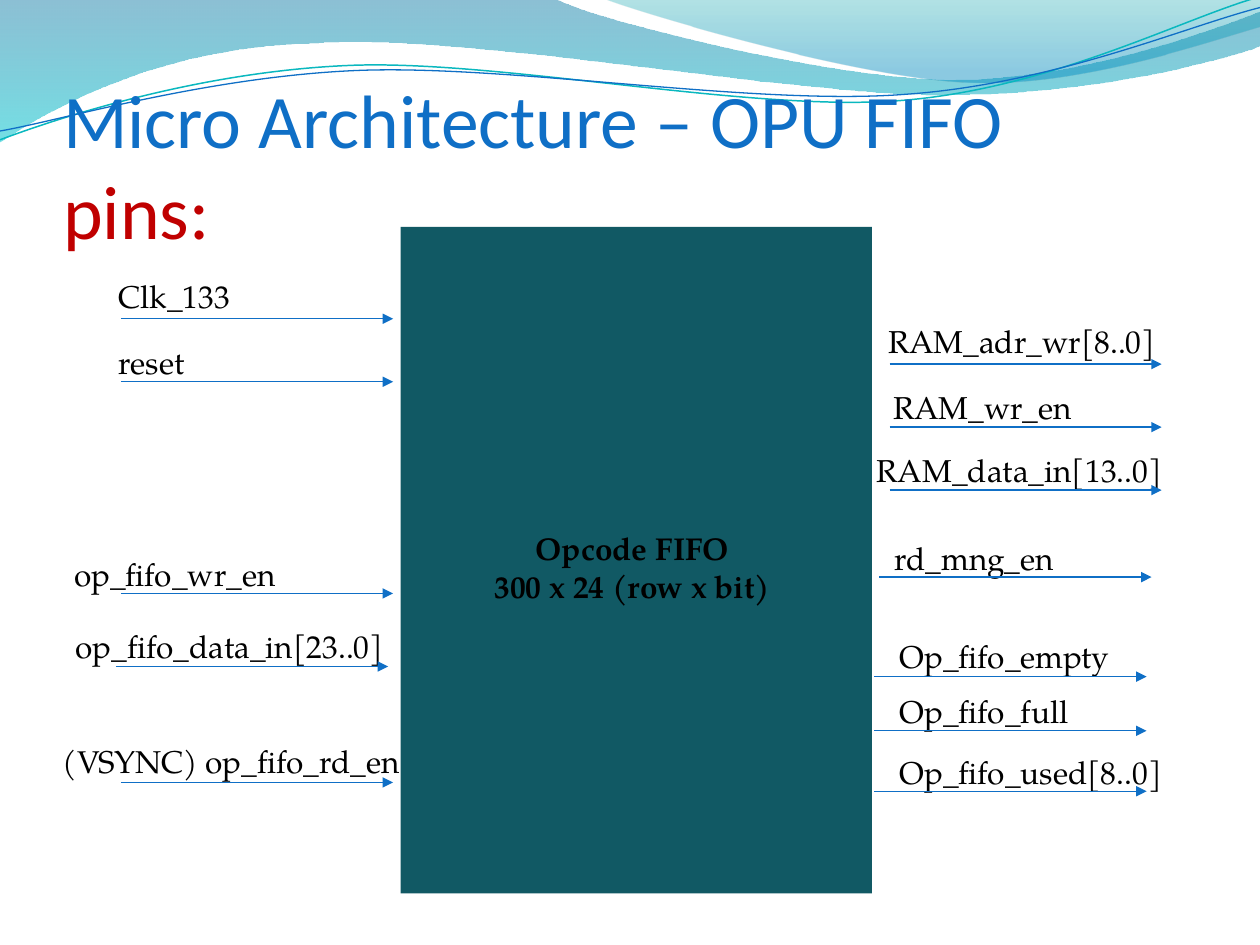
import pptx
import pptx.dml.color
import pptx.enum.shapes
import pptx.enum.text
import pptx.oxml
import pptx.oxml.ns
import pptx.util

Inches = pptx.util.Inches
RGBColor = pptx.dml.color.RGBColor
Align = pptx.enum.text.PP_ALIGN

BLUE = RGBColor(0x0F, 0x6F, 0xC6)
TURQUOISE = RGBColor(0x0A, 0xB8, 0xBF)
RED = RGBColor(0xC0, 0x00, 0x00)
BLACK = RGBColor(0, 0, 0)
BLOCK_TEAL = RGBColor(0x11, 0x59, 0x64)

ARROW_LENGTH = 2.16
UNITS_PER_INCH = 100

# Wave outlines: a pair is a straight segment, six numbers a Bezier curve.
LARGE_WAVE = [
    (0, 0), (4.4, -0.01), (4.76, 0.17, 6.64, 0.63, 7.58, 0.63),
    (8.53, 0.63, 9.58, 0.26, 10, 0.09), (10.01, 0.36),
    (9.83, 0.44, 8.7, 0.76, 7.46, 0.75), (6.22, 0.75, 3.82, 0.28, 2.57, 0.34),
    (1.29, 0.36, 0.46, 0.83, -0.01, 1.13), (0, 0),
]
SMALL_WAVE = [
    (4.79, -0.01), (5.09, 0.11, 6.82, 0.62, 7.69, 0.65),
    (8.56, 0.69, 9.61, 0.32, 10, 0.21), (10, 0), (4.79, -0.01),
]
TURQUOISE_CURVE = [
    (0, 1.11), (0.48, 0.93, 1.58, 0.57, 2.77, 0.52),
    (3.95, 0.47, 5.93, 0.89, 7.13, 0.8), (8.33, 0.71, 9.38, 0.15, 9.98, -0.02),
]
BLUE_CURVE = [
    (0, 1.04), (0.47, 0.96, 1.64, 0.61, 2.83, 0.56),
    (4.03, 0.51, 5.97, 0.84, 7.17, 0.75), (8.36, 0.67, 9.41, 0.21, 10, 0.06),
]
# Gradient stops: position, colour, opacity in percent.
LARGE_WAVE_STOPS = [(0, RGBColor(0x00, 0x74, 0xA1), 45),
                    (1, RGBColor(0x00, 0xC6, 0xCF), 55)]
SMALL_WAVE_STOPS = [(0, RGBColor(0x00, 0xA1, 0xA9), 30),
                    (0.8, RGBColor(0x00, 0x8B, 0xBF), 45)]

# Pins: name, label left, label top, label width, arrow left, arrow height.
PINS = [
    ("Clk_133", 0.84, 2.15, 2.18, 0.96, 2.53),
    ("reset", 0.84, 2.67, 2.18, 0.96, 3.03),
    ("op_fifo_wr_en", 0.49, 4.36, 2.53, 0.96, 4.71),
    ("op_fifo_data_in[23..0]", 0.5, 4.93, 3.22, 0.92, 5.29),
    ("(VSYNC) op_fifo_rd_en", 0.4, 5.84, 3.69, 0.96, 6.21),
    ("RAM_adr_wr[8..0]", 6.95, 2.51, 2.39, 7.06, 2.89),
    ("RAM_wr_en", 6.99, 3.03, 2.18, 7.06, 3.39),
    ("RAM_data_in[13..0]", 6.83, 3.53, 2.49, 7.06, 3.89),
    ("rd_mng_en", 7, 4.23, 2.18, 6.98, 4.58),
    ("Op_fifo_empty", 7.04, 5.01, 2.18, 6.94, 5.37),
    ("Op_fifo_full", 7.04, 5.44, 2.18, 6.94, 5.8),
    ("Op_fifo_used[8..0]", 7.04, 5.93, 2.37, 6.94, 6.28),
]


def add_run(paragraph, text, font="TeX Gyre Pagella", size=18, color=BLACK, bold=False):
    run = paragraph.add_run()
    run.text = text
    run.font.name = font
    run.font.size = pptx.util.Pt(size)
    run.font.color.rgb = color
    run.font.bold = bold


def add_text(slide, lines, left, top, width, height, align=Align.LEFT, **style):
    frame = slide.shapes.add_textbox(
        Inches(left), Inches(top), Inches(width), Inches(height)).text_frame
    frame.word_wrap = True
    for index, line in enumerate(lines):
        paragraph = frame.add_paragraph() if index else frame.paragraphs[0]
        paragraph.alignment = align
        add_run(paragraph, line, **style)


def add_outline(slide, outline, close):
    """Build a freeform through all points, then turn each curve's three lines into one Bezier."""
    points = [
        (segment[index] * UNITS_PER_INCH, segment[index + 1] * UNITS_PER_INCH)
        for segment in outline for index in range(0, len(segment), 2)]
    builder = slide.shapes.build_freeform(*points[0], scale=Inches(1) / UNITS_PER_INCH)
    builder.add_line_segments(points[1:], close=close)
    shape = builder.convert_to_shape()
    shape.shadow.inherit = False

    lines = iter(list(shape._element.spPr.iter(pptx.oxml.ns.qn("a:lnTo"))))
    for segment in outline[1:]:
        line = next(lines)
        if len(segment) == 6:
            line.tag = pptx.oxml.ns.qn("a:cubicBezTo")
            for _ in range(2):
                control_line = next(lines)
                line.append(control_line[0])
                control_line.getparent().remove(control_line)
    return shape


def add_wave(slide, outline, stops):
    shape = add_outline(slide, outline, close=True)
    shape.line.fill.background()
    shape.fill.gradient()
    shape.fill.gradient_angle = 270
    for stop, (position, color, _) in zip(shape.fill.gradient_stops, stops):
        stop.position = position
        stop.color.rgb = color
    colors = shape._element.spPr.iter(pptx.oxml.ns.qn("a:srgbClr"))
    for element, (_, _, opacity) in zip(colors, stops):
        element.append(pptx.oxml.parse_xml(
            f'<a:alpha {pptx.oxml.ns.nsdecls("a")} val="{opacity * 1000}"/>'))


def add_curve(slide, outline, color, width):
    shape = add_outline(slide, outline, close=False)
    shape.fill.background()
    shape.line.color.rgb = color
    shape.line.width = pptx.util.Pt(width)


def add_arrow(slide, left, y):
    arrow = slide.shapes.add_connector(
        pptx.enum.shapes.MSO_CONNECTOR.STRAIGHT,
        Inches(left), Inches(y), Inches(left + ARROW_LENGTH), Inches(y))
    arrow.line.color.rgb = BLUE
    arrow.line.width = pptx.util.Pt(0.75)
    namespace = pptx.oxml.ns.nsdecls("a")
    arrow.line._get_or_add_ln().append(
        pptx.oxml.parse_xml(f'<a:tailEnd {namespace} type="triangle"/>'))
    arrow._element.spPr.append(pptx.oxml.parse_xml(f"<a:effectLst {namespace}/>"))


def add_block(slide, left, top, width, height):
    block = slide.shapes.add_shape(
        pptx.enum.shapes.MSO_SHAPE.RECTANGLE,
        Inches(left), Inches(top), Inches(width), Inches(height))
    block.shadow.inherit = False
    block.fill.solid()
    block.fill.fore_color.rgb = BLOCK_TEAL
    block.line.fill.background()


def format_title(slide):
    title = slide.shapes.title
    title.left, title.top = Inches(0.5), Inches(0.77)
    title.width, title.height = Inches(9), Inches(1.25)
    frame = title.text_frame
    frame.margin_left = frame.margin_right = frame.margin_bottom = 0
    frame.margin_top = Inches(0.05)
    frame.vertical_anchor = pptx.enum.text.MSO_ANCHOR.BOTTOM
    frame.auto_size = pptx.enum.text.MSO_AUTO_SIZE.NONE
    frame.word_wrap = True
    paragraph = frame.paragraphs[0]
    paragraph.alignment = Align.LEFT
    add_run(paragraph, "Micro Architecture – OPU FIFO", font="Calibri", size=43.2, color=BLUE)
    paragraph.add_line_break()
    add_run(paragraph, "pins:", font="Calibri", size=43.2, color=RED)
    # Bring the title in front of the waves.
    slide.shapes._spTree.append(title._element)


def main():
    presentation = pptx.Presentation()
    presentation.slide_width, presentation.slide_height = Inches(10), Inches(7.5)
    slide = presentation.slides.add_slide(presentation.slide_layouts[5])

    add_wave(slide, LARGE_WAVE, LARGE_WAVE_STOPS)
    add_wave(slide, SMALL_WAVE, SMALL_WAVE_STOPS)
    add_curve(slide, TURQUOISE_CURVE, TURQUOISE, 0.85)
    add_curve(slide, BLUE_CURVE, BLUE, 0.75)
    format_title(slide)

    add_block(slide, 3.18, 1.8, 3.74, 5.29)
    add_text(slide, ["Opcode FIFO", "300 x 24 (row x bit)"], 3.67, 4.15, 2.7, 0.71,
             align=Align.CENTER, bold=True)
    for name, left, top, width, arrow_left, arrow_y in PINS:
        align = Align.RIGHT if name.startswith("RAM_data") else Align.LEFT
        add_text(slide, [name], left, top, width, 0.37, align=align)
        add_arrow(slide, arrow_left, arrow_y)

    presentation.save("out.pptx")


if __name__ == "__main__":
    main()
